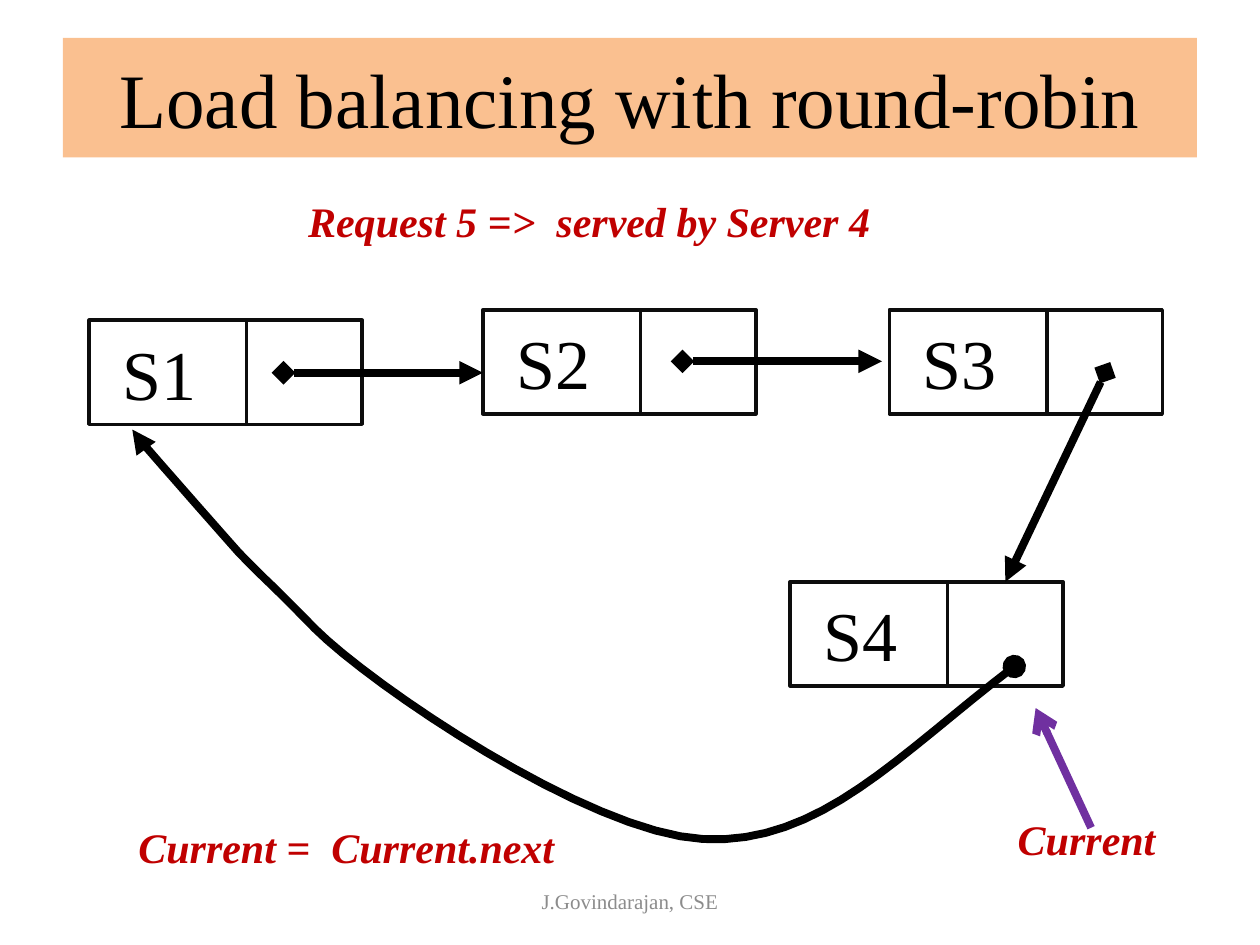
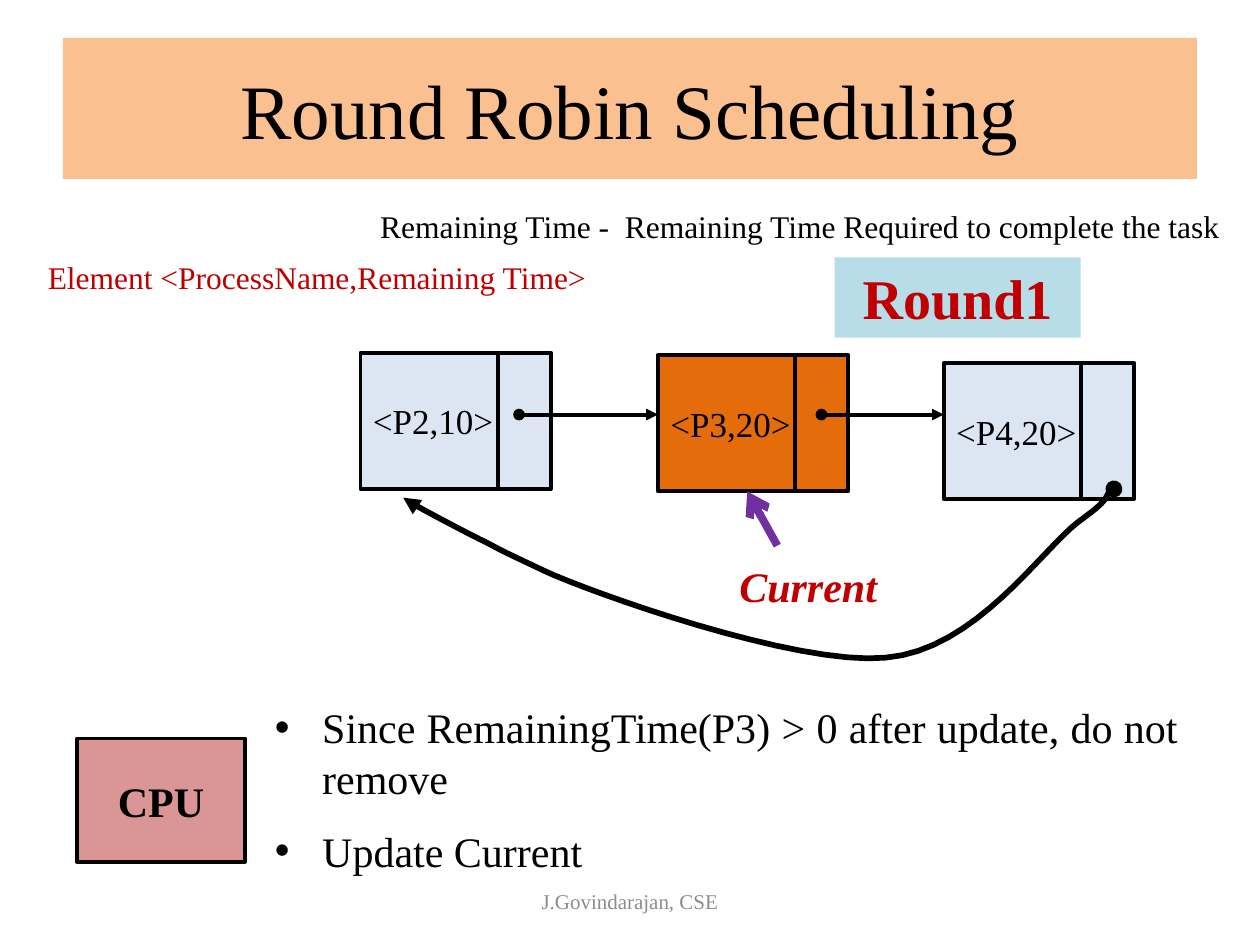
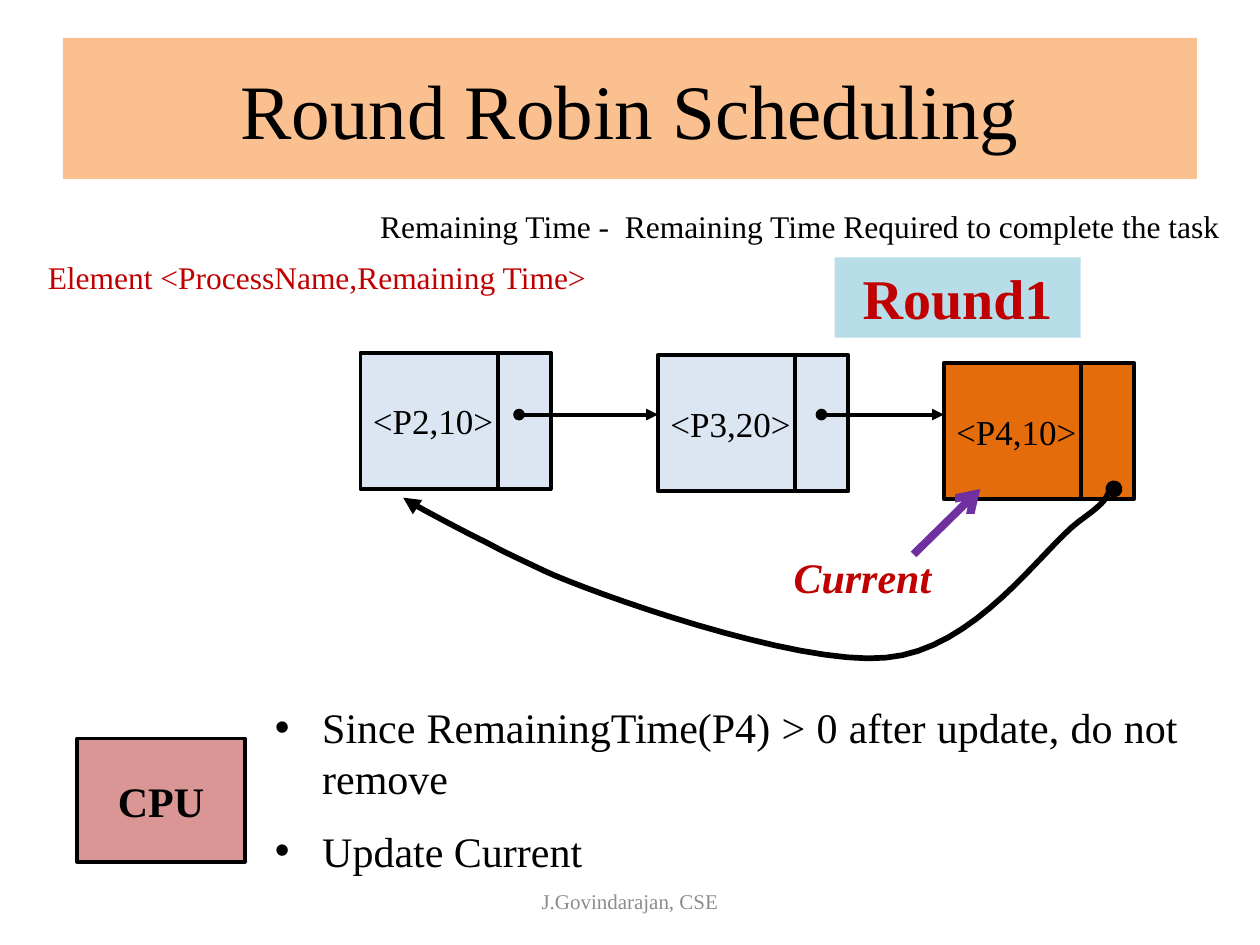
import dataclasses
import itertools
import lxml.etree
import pptx
import pptx.dml.color
import pptx.enum.shapes
import pptx.enum.text
import pptx.oxml.ns
import pptx.util

Pt = pptx.util.Pt
Align = pptx.enum.text.PP_ALIGN
Anchor = pptx.enum.text.MSO_ANCHOR


@dataclasses.dataclass(frozen=True)
class Theme:
    """Colours, type sizes and line weights shared by the slides."""
    font: str = "Times New Roman"
    ink: str = "000000"
    edge: str = "0D0D0D"
    band: str = "FAC090"
    grey: str = "8C8C8C"
    red: str = "C00000"
    purple: str = "7030A0"
    pale: str = "DCE6F2"
    orange: str = "E46C0A"
    rose: str = "D99694"
    aqua: str = "B7DEE8"
    title: int = 44
    server: int = 40
    round: int = 32
    body: int = 24
    process: int = 20
    note: int = 18
    foot: int = 12
    thick: float = 4.5
    loop: float = 3.25
    thin: float = 2.25
    frame: float = 2


THEME = Theme()


def rgb(code):
    """Turn a hex code into a colour."""
    return pptx.dml.color.RGBColor.from_string(code)


def add(parent, tag, **attrs):
    """Append a drawing element with the given attributes."""
    return lxml.etree.SubElement(parent, pptx.oxml.ns.qn(tag), attrs)


def write(shape, text, size, color=THEME.ink, bold=None, italic=None,
          align=Align.LEFT, anchor=Anchor.TOP, wrap=True, bullet=False):
    """Set one styled paragraph in a shape."""
    frame = shape.text_frame
    frame.word_wrap = wrap
    frame.vertical_anchor = anchor
    para = frame.paragraphs[0]
    para.text = text
    para.alignment = align
    if bullet:
        props = para._p.get_or_add_pPr()
        props.set("marL", str(Pt(27)))
        props.set("indent", str(-Pt(27)))
        add(props, "a:buFont", typeface="Arial")
        add(props, "a:buChar", char="•")
    font = para.font
    font.name, font.size = THEME.font, Pt(size)
    font.bold, font.italic = bold, italic
    font.color.rgb = rgb(color)


def label(slide, box, text, size, **style):
    """Add a text box."""
    shape = slide.shapes.add_textbox(*map(Pt, box))
    write(shape, text, size, **style)


def panel(slide, box, fill=None, edge=None, width=THEME.frame):
    """Add a plain rectangle with optional fill and edge."""
    kind = pptx.enum.shapes.MSO_SHAPE.RECTANGLE
    shape = slide.shapes.add_shape(kind, *map(Pt, box))
    shape.shadow.inherit = False
    if fill:
        shape.fill.solid()
        shape.fill.fore_color.rgb = rgb(fill)
    else:
        shape.fill.background()
    if edge:
        stroke(shape, edge, width)
    else:
        shape.line.fill.background()
    return shape


def stroke(shape, color, width, head=None, tail=None):
    """Style a line and its two ends."""
    shape.line.color.rgb = rgb(color)
    shape.line.width = Pt(width)
    ends = shape.line._get_or_add_ln()
    for tag, kind in (("a:headEnd", head), ("a:tailEnd", tail)):
        if kind:
            add(ends, tag, type=kind)


def arrow(slide, start, end, color, width, head=None, tail="triangle"):
    """Add a straight arrow."""
    kind = pptx.enum.shapes.MSO_CONNECTOR.STRAIGHT
    line = slide.shapes.add_connector(kind, *map(Pt, start + end))
    stroke(line, color, width, head, tail)
    add(line._element.spPr, "a:effectLst")
    return line


def trace(points, steps=16):
    """Yield points along a chain of cubic curves."""
    for first in range(0, len(points) - 1, 3):
        knots = points[first:first + 4]
        for step in range(1, steps + 1):
            t = step / steps
            parts = ((1 - t) ** 3, 3 * t * (1 - t) ** 2,
                     3 * t * t * (1 - t), t ** 3)
            yield tuple(sum(part * knot[axis] for part, knot in zip(parts, knots))
                        for axis in (0, 1))


def loop(slide, spot, points, width):
    """Add the curved arrow that leads from the last node to the first."""
    def place(point):
        return tuple(Pt(base + step) for base, step in zip(spot, point))

    build = slide.shapes.build_freeform(*place(points[0]))
    build.add_line_segments([place(point) for point in trace(points)], close=False)
    shape = build.convert_to_shape()
    shape.shadow.inherit = False
    shape.fill.background()
    stroke(shape, THEME.ink, width, "oval", "triangle")


def node(slide, box, split, text, size, fill, edge, width, **style):
    """Add a list node: a value cell and a link cell, which is returned."""
    x, y, w, h = box
    cell = panel(slide, (x, y, split, h), fill, edge, width)
    write(cell, text, size, anchor=Anchor.MIDDLE, **style)
    return panel(slide, (x + split, y, w - split, h), fill, edge, width)


def page(deck, title, height):
    """Add a slide with its title band and footer."""
    slide = deck.slides.add_slide(deck.slide_layouts[6])
    band = panel(slide, (36, 21.6, 648, height), THEME.band)
    style = dict(align=Align.CENTER, anchor=Anchor.MIDDLE)
    write(band, title, THEME.title, **style)
    label(slide, (246, 500.5, 228, 28.75), "J.Govindarajan, CSE", THEME.foot,
          color=THEME.grey, **style)
    return slide


def remark(slide, spot, width, text):
    """Add a red slanted remark."""
    label(slide, (*spot, width, 36), text, THEME.body, color=THEME.red,
          bold=True, italic=True, wrap=False)


def pointer(slide, spot, start, end, text):
    """Add the purple arrow and the name of the current node."""
    x, y = spot
    begin, stop = ((x + dx, y + dy) for dx, dy in (start, end))
    arrow(slide, begin, stop, THEME.purple, THEME.thick, tail="arrow")
    remark(slide, spot, 100, text)


def servers(slide, box):
    """Draw the ring of four servers."""
    x, y = box[:2]
    spots = ((0, 6), (225, 0), (457.25, 0), (400.5, 155.5))
    cells = [node(slide, (x + dx, y + dy, 156, 59.5), 90, f"S{index} ",
                  THEME.server, None, THEME.edge, THEME.frame, align=Align.CENTER)
             for index, (dx, dy) in enumerate(spots, 1)]
    links = (((111, 36), (225, 36)), ((339, 29.5), (453, 29.5)),
             ((580.5, 36), (523.5, 155.5)))
    for start, end in links:
        line = arrow(slide, (x + start[0], y + start[1]), (x + end[0], y + end[1]),
                     THEME.ink, THEME.thick, "diamond")
    line.end_connect(cells[-1], 0)
    curve = ((528.6, 203.9), (463.1, 253.6), (417.7, 306.1), (350.8, 302.5),
             (284.5, 298.9), (160.7, 214), (129, 182.3), (98, 150.6),
             (103.1, 157.1), (85.1, 138.4), (67.8, 118.9), (8.8, 52), (24.6, 68.5))
    loop(slide, (x, y), curve, THEME.thick)


def queue(slide, box, values, current):
    """Draw the ring of processes with the current one marked."""
    x, y = box[:2]
    spots = ((0, 0.6), (170, 2), (333.3, 6.4))
    for index, (value, (dx, dy)) in enumerate(zip(values, spots)):
        fill = THEME.orange if index == current else THEME.pale
        node(slide, (x + dx, y + dy, 108.75, 77.8), 78.5, value, THEME.process,
             fill, THEME.ink, THEME.thin, wrap=False)
    starts = (90.6, 263.4)
    for start, (after, _) in zip(starts, itertools.islice(spots, 1, None)):
        arrow(slide, (x + start, y + 35.9), (x + after, y + 35.9),
              THEME.ink, THEME.thin, "oval")
    curve = ((430.5, 78.4), (422.6, 83.4), (432.6, 81.2), (410.3, 97.1),
             (388.7, 113.6), (351.3, 170.5), (300.2, 174.8), (249, 179.9),
             (129.5, 136.7), (105, 125.2), (80.6, 113.6), (84.9, 115.8),
             (71.2, 108.6), (57.5, 102.1), (12.2, 77.6), (24.4, 83.4))
    loop(slide, (x, y), curve, THEME.loop)


def legend(slide, box):
    """Explain the elements and name the round."""
    x, y = box[:2]
    label(slide, (x, y + 29.5, 325.5, 29), "Element <ProcessName,Remaining Time>",
          THEME.note, color=THEME.red, wrap=False)
    label(slide, (x + 190, y, 515, 29),
          "Remaining Time -  Remaining Time Required to complete the task", THEME.note)
    badge = panel(slide, (x + 456.75, y + 32.5, 140.5, 46), THEME.aqua)
    write(badge, "Round1", THEME.round, color=THEME.red, bold=True, align=Align.CENTER)


def action(slide, box, name):
    """Show the processor and what it does next."""
    x, y = box[:2]
    chip = panel(slide, (x, y + 24.5, 96, 70.5), THEME.rose, THEME.ink)
    write(chip, "CPU", THEME.body, bold=True, align=Align.CENTER, anchor=Anchor.MIDDLE)
    label(slide, (x + 106, y, 530.5, 65.5),
          f"Since RemainingTime({name}) > 0 after update, do not remove",
          THEME.body, align=Align.JUSTIFY, bullet=True)
    label(slide, (x + 106, y + 70.5, 530.5, 36), "Update Current", THEME.body, bullet=True)


def balance(deck):
    """Build the load balancing slide."""
    slide = page(deck, "Load balancing with round-robin", 68.4)
    servers(slide, (51, 177, 613.25, 303))
    pointer(slide, (574.5, 461.5), (49, 11.5), (17.3, -56.9), "Current")
    remark(slide, (169, 108), 345, "Request 5 =>  served by Server 4")
    remark(slide, (72, 466), 255, "Current =  Current.next")


def schedule(deck, values, current, name, mark):
    """Build one step of the scheduling round."""
    slide = page(deck, "Round Robin Scheduling", 80.6)
    queue(slide, (206, 201, 442, 176), values, current)
    legend(slide, (20.2, 114.5, 705, 78.5))
    action(slide, (44, 397.5, 636.5, 106.5), name)
    pointer(slide, *mark, "Current")


def main():
    """Build and save the slides."""
    deck = pptx.Presentation()
    deck.slide_width, deck.slide_height = Pt(720), Pt(540)
    balance(deck)
    schedule(deck, ("<P2,10>", "<P3,20>", "<P4,20>"), 1, "P3",
             ((415.4, 316.8), (28.8, -5), (11.6, -36)))
    schedule(deck, ("<P2,10>", "<P3,20>", "<P4,10>"), 2, "P4",
             ((446.4, 311.8), (75.6, 5), (113.8, -32.4)))
    deck.save("out.pptx")


if __name__ == "__main__":
    main()
